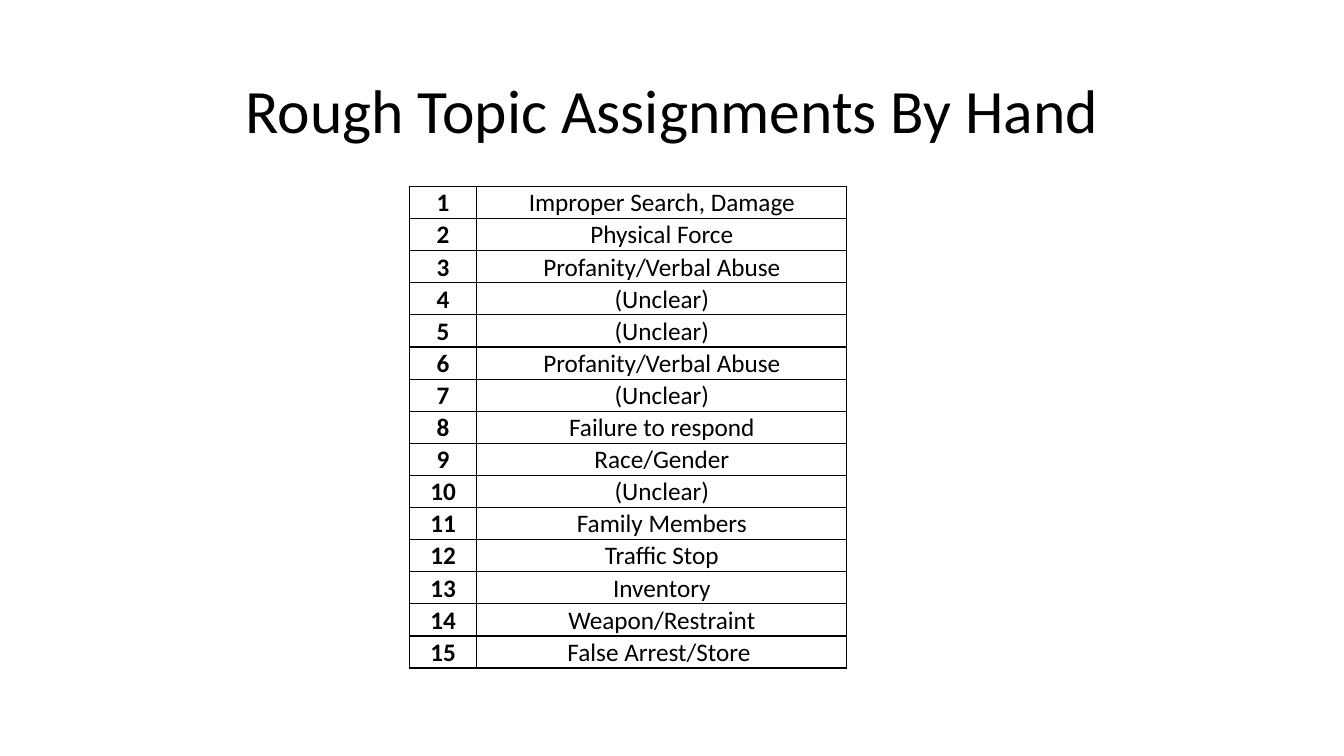
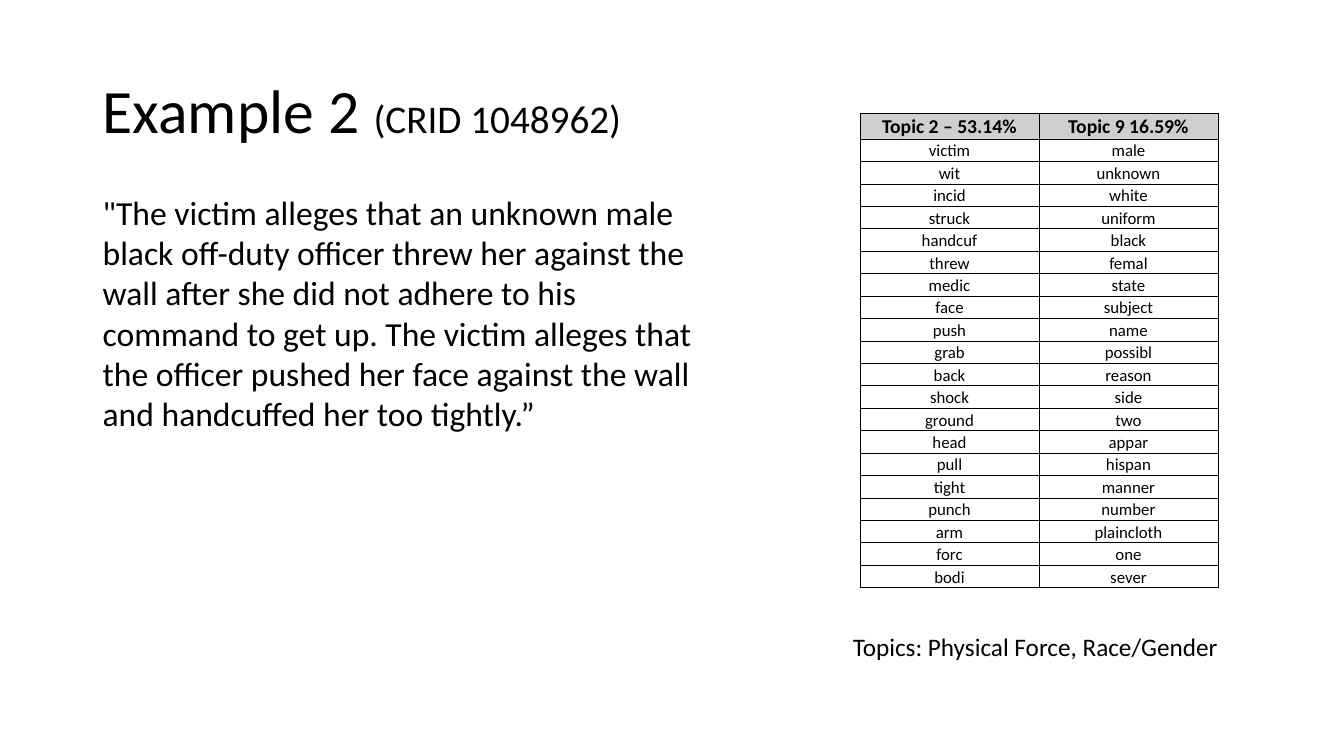
import pptx
import pptx.util
import pptx.dml.color
import pptx.enum.text
import pptx.oxml
import pptx.oxml.ns

Inches, Pt = pptx.util.Inches, pptx.util.Pt
hex_color = pptx.dml.color.RGBColor.from_string
ALIGN = pptx.enum.text.PP_ALIGN
ANCHOR = pptx.enum.text.MSO_ANCHOR

FONT = "Calibri"
BLACK, GRAY = "000000", "D0CECE"
TITLE = dict(box=(0.92, 0.4, 11.5, 1.45), anchor=ANCHOR.MIDDLE, spacing=0.9)


def add_text(s, runs, box, anchor=ANCHOR.TOP, spacing=1.0, align=ALIGN.LEFT):
    """Add a one-paragraph text box; runs are (text, size) pairs."""
    tf = s.shapes.add_textbox(*map(Inches, box)).text_frame
    tf.word_wrap = True
    tf.vertical_anchor = anchor
    p = tf.paragraphs[0]
    p.alignment, p.line_spacing = align, spacing
    for text, size in runs:
        r = p.add_run()
        r.text = text
        r.font.name, r.font.size = FONT, Pt(size)
        r.font.color.rgb = hex_color(BLACK)


def add_grid(s, rows, left, top, widths, heights, border, style):
    """Add a ruled table; style(row, col) gives size, bold and fill."""
    tbl = s.shapes.add_table(len(rows), len(widths), Inches(left), Inches(top),
                             Inches(sum(widths)), Inches(sum(heights))).table
    tbl.first_row = tbl.horz_banding = False
    for col, width in zip(tbl.columns, widths):
        col.width = Inches(width)
    for row, height in zip(tbl.rows, heights):
        row.height = Inches(height)
    for i, row in enumerate(rows):
        for j, text in enumerate(row):
            size, bold, fill = style(i, j)
            cell = tbl.cell(i, j)
            cell.margin_left = cell.margin_right = cell.margin_top = Inches(0.01)
            cell.margin_bottom = 0
            cell.vertical_anchor = ANCHOR.BOTTOM
            p = cell.text_frame.paragraphs[0]
            p.text = text
            p.alignment = ALIGN.CENTER
            font = p.runs[0].font
            font.name, font.size, font.bold = FONT, Pt(size), bold
            font.color.rgb = hex_color(BLACK)
            # Borders come before the fill in the cell properties
            tcPr = cell._tc.get_or_add_tcPr()
            for side in "LRTB":
                tcPr.append(pptx.oxml.parse_xml(
                    f'<a:ln{side} {pptx.oxml.ns.nsdecls("a")} w="{Pt(border)}">'
                    f'<a:solidFill><a:srgbClr val="{BLACK}"/></a:solidFill>'
                    f'</a:ln{side}>'))
            if fill:
                cell.fill.solid()
                cell.fill.fore_color.rgb = hex_color(fill)
            else:
                cell.fill.background()


prs = pptx.Presentation()
prs.slide_width, prs.slide_height = Inches(13.33), Inches(7.5)
blank = prs.slide_layouts[6]

# Slide 1: topic names
s = prs.slides.add_slide(blank)
add_text(s, [("Rough Topic Assignments By Hand", 44)], align=ALIGN.CENTER, **TITLE)
topics = ["Improper Search, Damage", "Physical Force", "Profanity/Verbal Abuse",
          "(Unclear)", "(Unclear)", "Profanity/Verbal Abuse", "(Unclear)",
          "Failure to respond", "Race/Gender", "(Unclear)", "Family Members",
          "Traffic Stop", "Inventory", "Weapon/Restraint", "False Arrest/Store "]
rows = [(str(n), topic) for n, topic in enumerate(topics, 1)]
add_grid(s, rows, 4.06, 1.85, [0.67, 3.67], [4.78 / len(rows)] * len(rows), 1,
         lambda i, j: (18, j == 0, None))

# Slide 2: example complaint with its top topic words
s = prs.slides.add_slide(blank)
add_text(s, [("Example 2 ", 44), ("(CRID 1048962)", 28)], **TITLE)
quote = ('"The victim alleges that an unknown male black off-duty officer threw her '
         'against the wall after she did not adhere to his command to get up. '
         'The victim alleges that the officer pushed her face against the wall '
         'and handcuffed her too tightly.”')
add_text(s, [(quote, 24)], (0.92, 1.85, 6.27, 2.52))

force_words = ("victim wit incid struck handcuf threw medic face push grab back "
               "shock ground head pull tight punch arm forc bodi").split()
person_words = ("male unknown white uniform black femal state subject name possibl "
                "reason side two appar hispan manner number plaincloth one sever").split()
rows = [("Topic 2 – 53.14%", "Topic 9 16.59%"), *zip(force_words, person_words)]
word_height = (4.71 - 0.26) / len(force_words)
add_grid(s, rows, 8.53, 1.12, [1.775] * 2, [0.26] + [word_height] * len(force_words), 0.5,
         lambda i, j: (14, True, GRAY) if i == 0 else (12, False, None))
add_text(s, [("Topics: Physical Force, Race/Gender", 18)], (8.36, 6.21, 3.9, 0.4))

prs.save("out.pptx")
